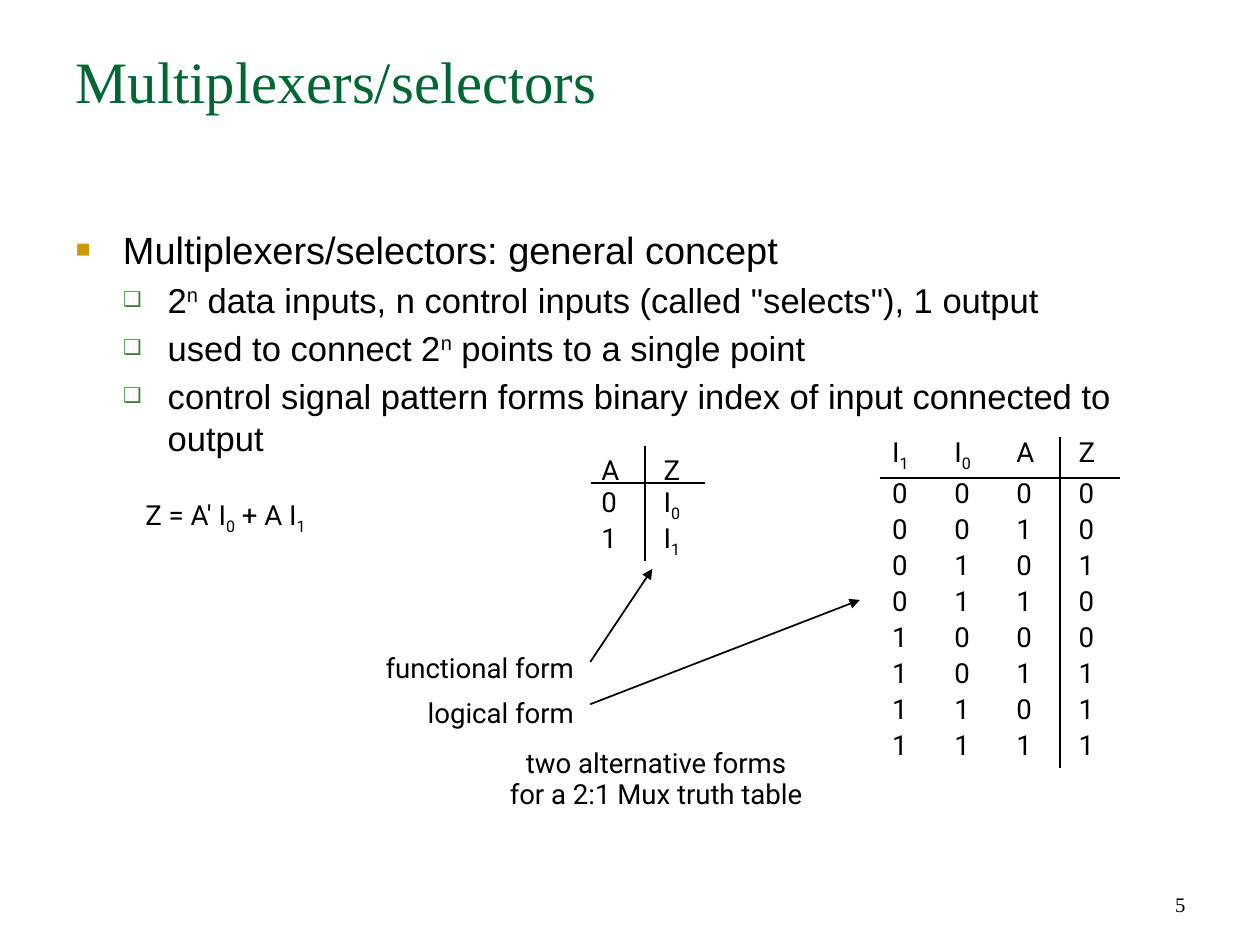
from dataclasses import dataclass

import lxml.etree
import pptx
import pptx.dml.color
import pptx.enum.shapes
import pptx.enum.text
import pptx.oxml.ns
import pptx.presentation
import pptx.shapes.connector
import pptx.slide
import pptx.text.text
import pptx.util

Inches = pptx.util.Inches
Pt = pptx.util.Pt
Align = pptx.enum.text.PP_ALIGN
Anchor = pptx.enum.text.MSO_ANCHOR
qn = pptx.oxml.ns.qn

BLACK = "000000"
DIAGRAM_FONT = "Roboto"
TITLE_FONT = "Times New Roman"
SUB, SUPER = -25, 30
COLUMN_WIDTH, ROW_HEIGHT = 0.5, 0.29


@dataclass(frozen=True)
class Piece:
    text: str
    baseline: int = 0


@dataclass(frozen=True)
class Style:
    font: str
    size: float
    color: str = BLACK


@dataclass(frozen=True)
class Bullet:
    char: str
    color: str
    percent: int
    margin: float
    hanging: float
    level: int
    size: float


@dataclass(frozen=True)
class Label:
    box: tuple[float, float, float, float]
    lines: list[list[Piece]]
    spacing: float
    align: Align = Align.LEFT


@dataclass(frozen=True)
class TruthTable:
    left: float
    top: float
    header_height: float
    rows: list[list[list[Piece]]]


@dataclass(frozen=True)
class Stroke:
    start: tuple[float, float]
    end: tuple[float, float]
    arrow: bool = False


DIAGRAM = Style(DIAGRAM_FONT, 16)
TOPIC = Bullet("■", "CC9900", 65, 0.38, 0.38, 0, 22)
DETAIL = Bullet("❑", "3B812F", 60, 0.74, 0.36, 1, 20)
I0 = [Piece("I"), Piece("0", SUB)]
I1 = [Piece("I"), Piece("1", SUB)]


def plain(text: str) -> list[Piece]:
    return [Piece(text)]


def rgb(value: str) -> pptx.dml.color.RGBColor:
    return pptx.dml.color.RGBColor.from_string(value)


def write(paragraph: pptx.text.text._Paragraph, pieces: list[Piece], style: Style) -> None:
    for piece in pieces:
        run = paragraph.add_run()
        run.text = piece.text
        run.font.name = style.font
        run.font.size = Pt(style.size)
        run.font.color.rgb = rgb(style.color)
        if piece.baseline:
            run._r.get_or_add_rPr().set("baseline", str(piece.baseline * 1000))


def set_bullet(paragraph: pptx.text.text._Paragraph, bullet: Bullet) -> None:
    properties = paragraph._p.get_or_add_pPr()
    properties.set("marL", str(Inches(bullet.margin)))
    properties.set("indent", str(-Inches(bullet.hanging)))
    color = lxml.etree.SubElement(properties, qn("a:buClr"))
    lxml.etree.SubElement(color, qn("a:srgbClr"), val=bullet.color)
    lxml.etree.SubElement(properties, qn("a:buSzPct"), val=str(bullet.percent * 1000))
    lxml.etree.SubElement(properties, qn("a:buChar"), char=bullet.char)
    paragraph.level = bullet.level


def place(shape, box: tuple[float, float, float, float]) -> None:
    shape.left, shape.top, shape.width, shape.height = map(Inches, box)
    shape.text_frame.auto_size = pptx.enum.text.MSO_AUTO_SIZE.NONE
    shape.text_frame.word_wrap = True


def add_label(slide: pptx.slide.Slide, label: Label) -> None:
    shape = slide.shapes.add_textbox(*map(Inches, label.box))
    place(shape, label.box)
    frame = shape.text_frame
    frame.margin_left = frame.margin_right = Inches(0.02)
    frame.margin_top = frame.margin_bottom = Inches(0.03)
    for index, line in enumerate(label.lines):
        paragraph = frame.add_paragraph() if index else frame.paragraphs[0]
        paragraph.alignment = label.align
        paragraph.line_spacing = Pt(label.spacing)
        write(paragraph, line, DIAGRAM)


def add_truth_table(slide: pptx.slide.Slide, truth: TruthTable) -> None:
    count, columns = len(truth.rows), len(truth.rows[0])
    height = truth.header_height + (count - 1) * ROW_HEIGHT
    table = slide.shapes.add_table(
        count, columns, Inches(truth.left), Inches(truth.top),
        Inches(columns * COLUMN_WIDTH), Inches(height)).table
    table.first_row = table.horz_banding = False
    for row_index, row in enumerate(truth.rows):
        table.rows[row_index].height = Inches(ROW_HEIGHT if row_index else truth.header_height)
        for column_index, pieces in enumerate(row):
            cell = table.cell(row_index, column_index)
            cell.fill.background()
            cell.vertical_anchor = Anchor.TOP
            cell.margin_left = cell.margin_right = cell.margin_top = cell.margin_bottom = 0
            write(cell.text_frame.paragraphs[0], pieces, DIAGRAM)


def add_stroke(slide: pptx.slide.Slide, stroke: Stroke) -> None:
    connector = slide.shapes.add_connector(
        pptx.enum.shapes.MSO_CONNECTOR.STRAIGHT, *map(Inches, stroke.start + stroke.end))
    connector.line.color.rgb = rgb(BLACK)
    connector.line.width = Pt(1)
    if stroke.arrow:
        lxml.etree.SubElement(connector.line._get_or_add_ln(), qn("a:tailEnd"), type="triangle")
    lxml.etree.SubElement(connector._element.spPr, qn("a:effectLst"))


def add_outline(slide: pptx.slide.Slide) -> None:
    title, body = slide.shapes.title, slide.placeholders[1]
    place(title, (0.51, 0.31, 9.12, 1.26))
    title.text_frame.vertical_anchor = Anchor.TOP
    heading = title.text_frame.paragraphs[0]
    heading.alignment = Align.LEFT
    write(heading, plain("Multiplexers/selectors"), Style(TITLE_FONT, 34, "006633"))

    place(body, (0.51, 1.77, 9.12, 5.02))
    points = [
        (TOPIC, plain("Multiplexers/selectors: general concept")),
        (DETAIL, [Piece("2"), Piece("n", SUPER),
                  Piece(' data inputs, n control inputs (called "selects"), 1 output')]),
        (DETAIL, [Piece("used to connect 2"), Piece("n", SUPER),
                  Piece(" points to a single point")]),
        (DETAIL, plain("control signal pattern forms binary index of input connected to output")),
    ]
    for index, (bullet, pieces) in enumerate(points):
        paragraph = body.text_frame.add_paragraph() if index else body.text_frame.paragraphs[0]
        set_bullet(paragraph, bullet)
        paragraph.space_before = Pt(bullet.size * 0.2 if index else 0)
        write(paragraph, pieces, Style("Arial", bullet.size))


def add_page_number(slide: pptx.slide.Slide) -> None:
    box = (7.27, 6.92, 2.37, 0.51)
    number = slide.shapes.add_textbox(*map(Inches, box))
    place(number, box)
    number.text_frame.vertical_anchor = Anchor.BOTTOM
    paragraph = number.text_frame.paragraphs[0]
    paragraph.alignment = Align.RIGHT
    write(paragraph, plain("5"), Style(TITLE_FONT, 12))


def main() -> None:
    deck = pptx.Presentation()
    deck.slide_width, deck.slide_height = Inches(10.14), Inches(7.6)
    slide = deck.slides.add_slide(deck.slide_layouts[1])
    add_outline(slide)
    add_page_number(slide)

    labels = [
        Label((3.67, 5.99, 3.22, 0.67),
              [plain("two alternative forms"), plain("for a 2:1 Mux truth table")],
              18, Align.CENTER),
        Label((2.58, 5.12, 2.06, 0.86),
              [plain("functional form"), plain("logical form")], 26, Align.RIGHT),
        Label((1.15, 3.99, 1.97, 0.46),
              [[Piece("Z = A' I"), Piece("0", SUB), Piece(" + A I"), Piece("1", SUB)]], 21),
    ]
    for label in labels:
        add_label(slide, label)

    header = [plain("A"), plain("Z")]
    functional = [header, [plain("0"), I0], [plain("1"), I1]]
    outputs = ["0000", "0010", "0101", "0110", "1000", "1011", "1101", "1111"]
    logical = [[I1, I0, *header]] + [[plain(bit) for bit in bits] for bits in outputs]
    add_truth_table(slide, TruthTable(4.84, 3.66, 0.26, functional))
    add_truth_table(slide, TruthTable(7.18, 3.52, 0.33, logical))

    strokes = [
        Stroke((5.19, 3.59), (5.19, 4.52)),
        Stroke((4.76, 3.89), (5.67, 3.89)),
        Stroke((8.53, 3.52), (8.53, 6.18)),
        Stroke((7.08, 3.85), (9.01, 3.85)),
        Stroke((4.75, 5.33), (5.25, 4.58), arrow=True),
        Stroke((4.75, 5.67), (6.92, 4.83), arrow=True),
    ]
    for stroke in strokes:
        add_stroke(slide, stroke)
    deck.save("out.pptx")


if __name__ == "__main__":
    main()
